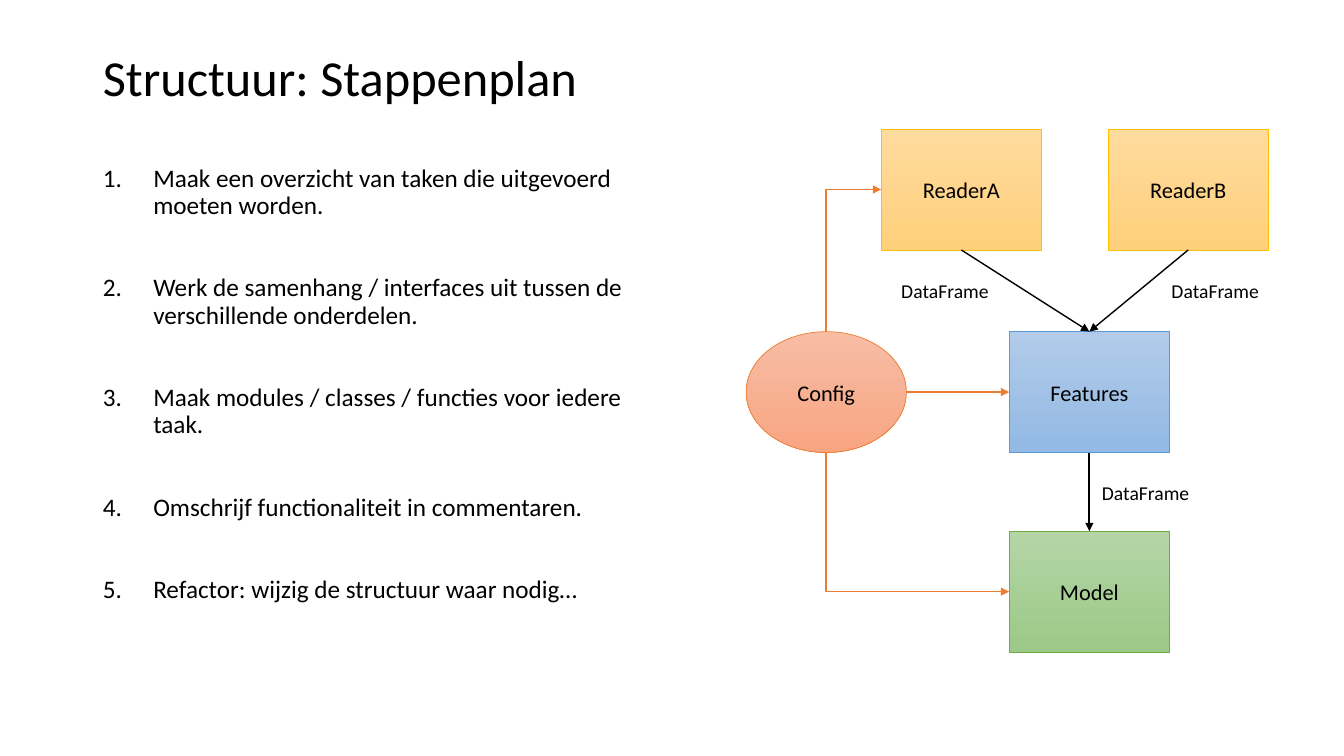
"""Build a slide with a numbered plan beside a diagram of linked parts."""
import dataclasses

import pptx
import pptx.dml.color
import pptx.enum.shapes
import pptx.enum.text
import pptx.oxml.ns
import pptx.util
from lxml import etree

Inches = pptx.util.Inches
Pt = pptx.util.Pt
Kind = pptx.enum.shapes.MSO_SHAPE
Link = pptx.enum.shapes.MSO_CONNECTOR
Align = pptx.enum.text.PP_ALIGN
Anchor = pptx.enum.text.MSO_ANCHOR
Fit = pptx.enum.text.MSO_AUTO_SIZE
TOP, LEFT, BOTTOM, RIGHT = range(4)


@dataclasses.dataclass(frozen=True)
class Theme:
    font: str = "Calibri"
    ink: str = "000000"
    title: int = 36
    list: int = 18
    node: int = 16
    label: int = 14
    gold: tuple = ("FFDB9E", "FFD07C", "FFC000")
    blue: tuple = ("B1CBE9", "93B9E4", "5B9BD5")
    green: tuple = ("B5D5A7", "9CC987", "70AD47")
    orange: tuple = ("F7BDA5", "F8A582", "ED7D31")


def put(item, **values):
    for name, value in values.items():
        setattr(item, name, value)


def tint(code):
    return pptx.dml.color.RGBColor.from_string(code)


def child(parent, tag, **values):
    return etree.SubElement(parent, pptx.oxml.ns.qn(tag), values)


class Board:
    def __init__(self, slide, theme):
        self.slide, self.theme = slide, theme

    def place(self, shape, box):
        put(shape, **dict(zip(("left", "top", "width", "height"), map(Inches, box))))

    def style(self, par, size, **values):
        put(par, **values)
        put(par.font, name=self.theme.font, size=Pt(size))
        par.font.color.rgb = tint(self.theme.ink)

    def title(self, text, box):
        shape = self.slide.shapes.title
        self.place(shape, box)
        shape.text = text
        put(shape.text_frame, vertical_anchor=Anchor.MIDDLE, auto_size=Fit.NONE)
        self.style(shape.text_frame.paragraphs[0], self.theme.title,
                   alignment=Align.LEFT, line_spacing=0.9)

    def steps(self, lines, box, gap):
        shape = self.slide.placeholders[1]
        self.place(shape, box)
        frame = shape.text_frame
        frame.text = "\n".join(lines)
        put(frame, vertical_anchor=Anchor.TOP, auto_size=Fit.NONE)
        for index, par in enumerate(frame.paragraphs):
            props = par._p.get_or_add_pPr()
            put_in = Inches(0.5)
            props.set("marL", str(put_in))
            props.set("indent", str(-put_in))
            child(props, "a:buFont", typeface="+mj-lt")
            child(props, "a:buAutoNum", type="arabicPeriod")
            self.style(par, self.theme.list, line_spacing=0.9,
                       space_before=Pt(gap if index else 0))

    def node(self, text, left, top, shades, kind=Kind.RECTANGLE):
        box = map(Inches, (left, top, 1.59, 1.2))
        shape = self.slide.shapes.add_shape(kind, *box)
        shape.shadow.inherit = False
        shape.fill.gradient()
        shape.fill.gradient_angle = 270
        for stop, code in zip(shape.fill.gradient_stops, shades):
            stop.color.rgb = tint(code)
        shape.line.color.rgb = tint(shades[2])
        shape.line.width = Pt(0.5)
        shape.text = text
        shape.text_frame.vertical_anchor = Anchor.MIDDLE
        self.style(shape.text_frame.paragraphs[0], self.theme.node,
                   alignment=Align.CENTER)
        return shape

    def label(self, text, left, top):
        shape = self.slide.shapes.add_textbox(*map(Inches, (left, top, 1.08, 0.34)))
        put(shape.text_frame, text=text, word_wrap=False)
        self.style(shape.text_frame.paragraphs[0], self.theme.label)

    def arrow(self, start, side, end, edge, color, width=1, bent=False):
        ends = [(start, side), (end, edge)]
        if bent:
            ends.reverse()
        link = self.slide.shapes.add_connector(
            Link.ELBOW if bent else Link.STRAIGHT, 0, 0, 0, 0)
        link.begin_connect(*ends[0])
        link.end_connect(*ends[1])
        for (shape, site), tag in zip(ends, ("stCxn", "endCxn")):
            if shape.auto_shape_type == Kind.OVAL:
                link._element.xpath(f".//a:{tag}")[0].set("idx", str(2 * site))
        if bent:
            link._element.xpath(".//a:prstGeom")[0].set("prst", "bentConnector2")
        link.line.color.rgb = tint(color)
        link.line.width = Pt(width)
        child(link.line._get_or_add_ln(), "a:headEnd" if bent else "a:tailEnd",
              type="triangle")
        child(link._element.spPr, "a:effectLst")


def main():
    theme = Theme()
    deck = pptx.Presentation()
    put(deck, slide_width=Inches(13.33), slide_height=Inches(7.5))
    board = Board(deck.slides.add_slide(deck.slide_layouts[1]), theme)

    board.title("Structuur: Stappenplan", (0.92, 0.4, 11.5, 0.79))
    board.steps([
        "Maak een overzicht van taken die uitgevoerd moeten worden.",
        "Werk de samenhang / interfaces uit tussen de verschillende onderdelen.",
        "Maak modules / classes / functies voor iedere taak.",
        "Omschrijf functionaliteit in commentaren.",
        "Refactor: wijzig de structuur waar nodig…",
    ], (0.92, 1.59, 5.45, 5.16), 39.5)

    first = board.node("ReaderA", 8.74, 1.28, theme.gold)
    second = board.node("ReaderB", 10.99, 1.28, theme.gold)
    traits = board.node("Features", 10.01, 3.29, theme.blue)
    model = board.node("Model", 10.01, 5.27, theme.green)
    config = board.node("Config", 7.4, 3.29, theme.orange, Kind.OVAL)

    for reader in (first, second):
        board.arrow(reader, BOTTOM, traits, TOP, theme.ink)
    board.arrow(traits, BOTTOM, model, TOP, theme.ink, 1.5)
    for side, goal in ((TOP, first), (RIGHT, traits), (BOTTOM, model)):
        board.arrow(config, side, goal, LEFT, theme.orange[2], bent=side != RIGHT)
    for left, top in ((8.84, 2.72), (11.52, 2.72), (10.83, 4.72)):
        board.label("DataFrame", left, top)

    deck.save("out.pptx")


if __name__ == "__main__":
    main()
